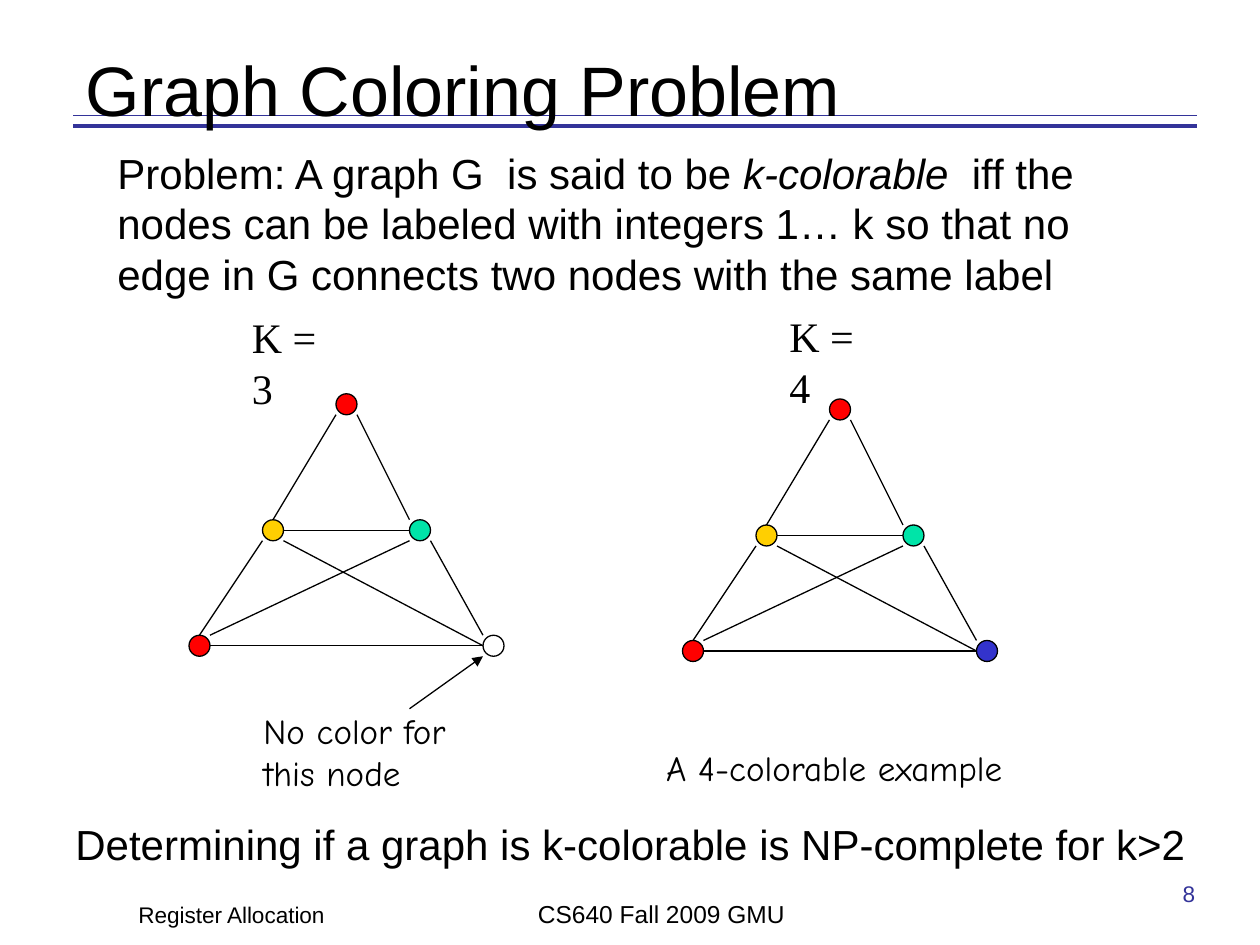
from dataclasses import dataclass

from lxml import etree
from pptx import Presentation
from pptx.dml.color import RGBColor
from pptx.enum.shapes import MSO_CONNECTOR, MSO_SHAPE
from pptx.enum.text import MSO_ANCHOR, PP_ALIGN
from pptx.oxml.ns import qn
from pptx.util import Inches, Pt

STRAIGHT = MSO_CONNECTOR.STRAIGHT
ELLIPSE = MSO_SHAPE.OVAL
TOP, MIDDLE, BOTTOM = MSO_ANCHOR.TOP, MSO_ANCHOR.MIDDLE, MSO_ANCHOR.BOTTOM
LEFT, CENTER, RIGHT = PP_ALIGN.LEFT, PP_ALIGN.CENTER, PP_ALIGN.RIGHT

COLUMNS, ROWS = 120, 90
NODE_SIZE = 2
NODES = [(14, 0), (7, 12), (21, 12), (28, 23), (0, 23)]
EDGES = [
    ((14, 2), (8, 12)),
    ((16, 2), (21, 12)),
    ((23, 14), (28, 23)),
    ((7, 14), (1, 23)),
    ((2, 24), (28, 24)),
    ((9, 13), (21, 13)),
    ((9, 14), (28, 24)),
    ((21, 14), (2, 23)),
]


@dataclass(frozen=True)
class Theme:
    ink: str = "000000"
    accent: str = "333399"
    red: str = "FF0000"
    yellow: str = "FFCF01"
    green: str = "00E4A8"
    blue: str = "3333CC"
    sans: str = "Arial"
    serif: str = "Times New Roman"
    hand: str = "Comic Neue"
    title: float = 40
    body: float = 24
    caption: float = 20
    footer: float = 14
    small: float = 12.9
    thin: float = 0.75
    thick: float = 2.75


THEME = Theme()


def cells(count):
    return Inches(count / 12)


def add_line(page, start, end, color=THEME.ink, width=THEME.thin, arrow=False):
    line = page.shapes.add_connector(STRAIGHT, *map(cells, start + end))
    line.line.color.rgb = RGBColor.from_string(color)
    line.line.width = Pt(width)
    if arrow:
        etree.SubElement(line.line._get_or_add_ln(), qn("a:tailEnd"), type="triangle")
    etree.SubElement(line._element.spPr, qn("a:effectLst"))


def add_node(page, column, row, color):
    node = page.shapes.add_shape(
        ELLIPSE, *map(cells, (column, row, NODE_SIZE, NODE_SIZE)))
    node.shadow.inherit = False
    node.line.color.rgb = RGBColor.from_string(THEME.ink)
    node.line.width = Pt(THEME.thin)
    if color:
        node.fill.solid()
        node.fill.fore_color.rgb = RGBColor.from_string(color)
    else:
        node.fill.background()


def add_graph(page, column, row, colors):
    for (x, y), color in zip(NODES, colors):
        add_node(page, column + x, row + y, color)
    for (x1, y1), (x2, y2) in EDGES:
        add_line(page, (column + x1, row + y1), (column + x2, row + y2))


def add_text(page, area, text, size, font=THEME.sans, color=THEME.ink,
             align=LEFT, anchor=TOP, wrap=True):
    box = page.shapes.add_textbox(*map(cells, area))
    frame = box.text_frame
    frame.text = text
    frame.word_wrap = wrap
    frame.vertical_anchor = anchor
    for para in frame.paragraphs:
        para.alignment = align
        para.font.size = Pt(size)
        para.font.name = font
        para.font.color.rgb = RGBColor.from_string(color)
    return box


def add_problem(page):
    spans = [
        ("Problem: A graph G  is said to be ", False),
        ("k-colorable", True),
        ("  iff the nodes can be labeled with integers 1… k so that "
         "no edge in G connects two nodes with the same label", False),
    ]
    box = add_text(page, (10, 13.5, 99, 15.5), "", THEME.body, anchor=MIDDLE)
    para = box.text_frame.paragraphs[0]
    for text, italic in spans:
        span = para.add_run()
        span.text = text
        span.font.italic = italic


def add_footer(page):
    add_text(page, (12, 85, 25, 4), "Register Allocation", THEME.small, anchor=BOTTOM)
    add_text(page, (44, 83, 38, 6), "CS640 Fall 2009 GMU", THEME.footer,
             align=CENTER, anchor=BOTTOM)
    add_text(page, (100, 83, 15, 4), "8", THEME.small, color=THEME.accent,
             align=RIGHT, anchor=BOTTOM)


def main():
    deck = Presentation()
    deck.slide_width, deck.slide_height = cells(COLUMNS), cells(ROWS)
    page = deck.slides.add_slide(deck.slide_layouts[6])

    for row, width in ((11, THEME.thin), (12, THEME.thick)):
        add_line(page, (7, row), (114, row), THEME.accent, width)
    add_footer(page)

    shared = [THEME.red, THEME.yellow, THEME.green]
    add_graph(page, 18, 37.5, shared + [None, THEME.red])
    add_graph(page, 65, 38, shared + [THEME.blue, THEME.red])

    add_text(page, (7, 0, 102, 13), "Graph Coloring Problem", THEME.title, anchor=BOTTOM)
    add_text(page, (23.9, 67, 19.8, 9.2), "No color for\nthis node", THEME.caption,
             THEME.hand, wrap=False)
    add_line(page, (39, 67.5), (46, 62.5), arrow=True)
    for column, row, label in ((22.8, 29.1, "K = 3"), (74, 29, "K = 4")):
        add_text(page, (column, row, 11.5, 6), label, THEME.body, THEME.serif, wrap=False)
    add_problem(page)
    add_text(page, (62.2, 70.4, 34.5, 5.3), "A 4-colorable example", THEME.caption,
             THEME.hand, align=CENTER, anchor=MIDDLE, wrap=False)
    add_text(page, (6, 77.4, 110, 6),
             "Determining if a graph is k-colorable is NP-complete for k>2",
             THEME.body, anchor=MIDDLE)
    deck.save("out.pptx")


if __name__ == "__main__":
    main()
